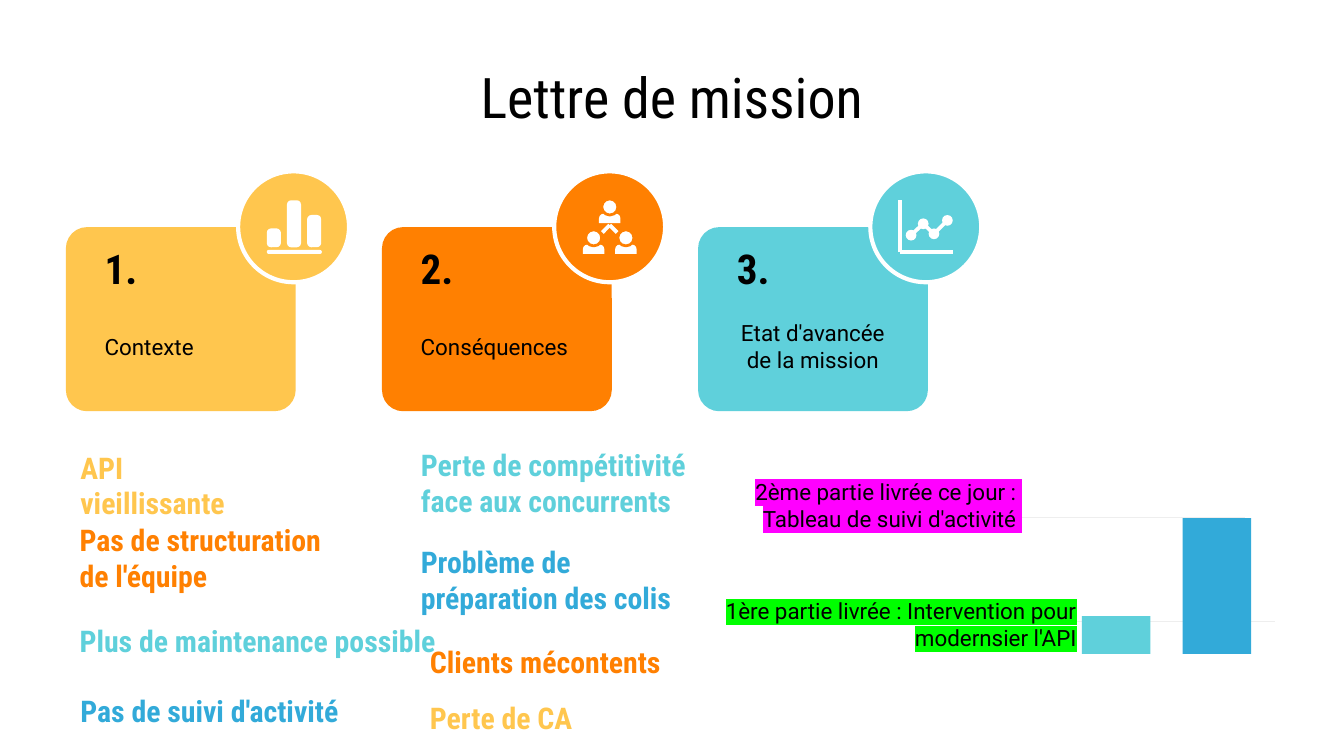
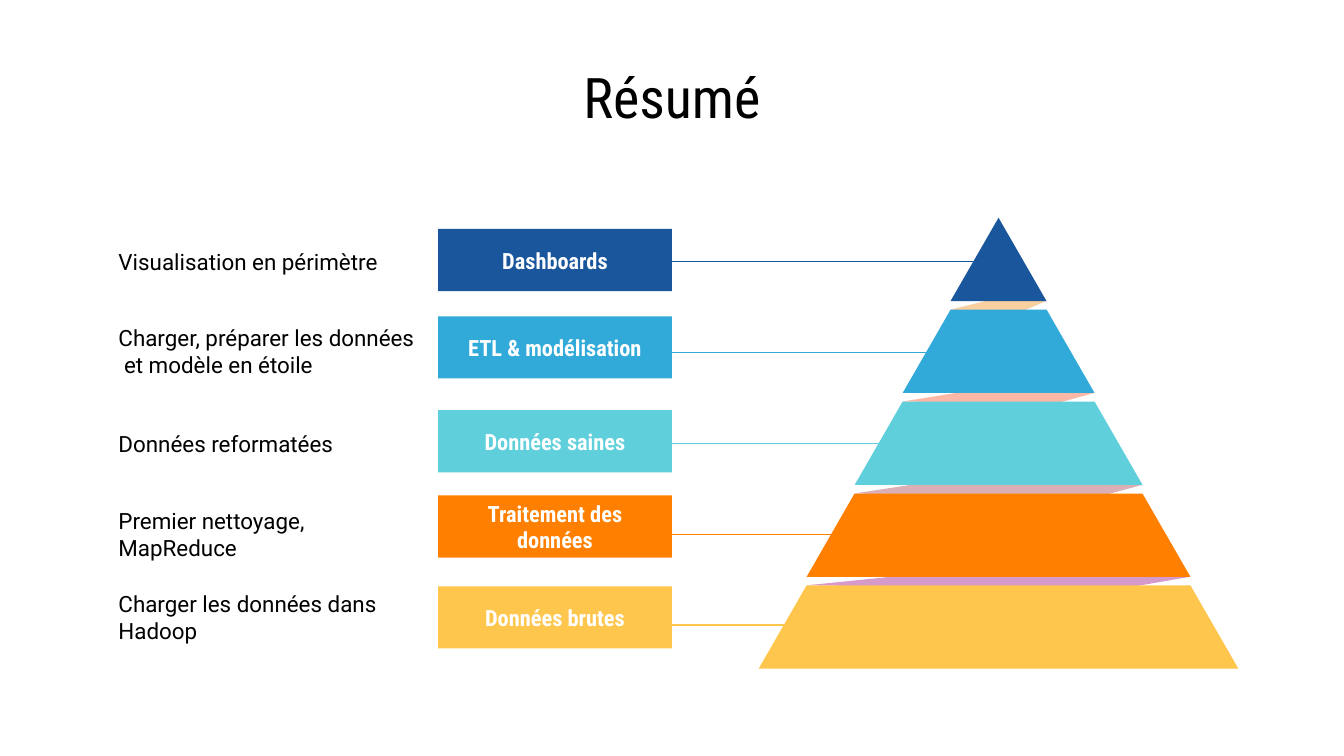
from lxml.etree import SubElement
from pptx import Presentation
from pptx.dml.color import RGBColor
from pptx.enum.shapes import MSO_CONNECTOR, MSO_SHAPE as Shape
from pptx.enum.text import MSO_ANCHOR, PP_ALIGN as Align
from pptx.oxml import parse_xml
from pptx.oxml.ns import nsdecls, qn
from pptx.util import Inches, Pt

SLIDE_WIDTH = Inches(10)
SLIDE_HEIGHT = SLIDE_WIDTH * 9 // 16
CELL = SLIDE_WIDTH / 100  # the grid has 100 columns, with square cells

BLACK = RGBColor(0x00, 0x00, 0x00)
WHITE = RGBColor(0xFF, 0xFF, 0xFF)
NAVY = RGBColor(0x1A, 0x56, 0x9C)
BLUE = RGBColor(0x32, 0xAA, 0xD9)
TURQUOISE = RGBColor(0x5F, 0xD0, 0xDB)
ORANGE = RGBColor(0xFF, 0x80, 0x01)
YELLOW = RGBColor(0xFF, 0xC6, 0x4E)
GRID_GREY = RGBColor(0xEE, 0xEE, 0xEE)
GREEN = RGBColor(0x00, 0xFF, 0x00)
MAGENTA = RGBColor(0xFF, 0x00, 0xFF)
FOLD_COLORS = [RGBColor(0xEF, 0x91, 0x21), RGBColor(0xFB, 0x85, 0x69),
               RGBColor(0xAC, 0x4D, 0x5B), RGBColor(0xA1, 0x16, 0x86)]

BODY_FONT, HEAD_FONT = "Roboto", "Roboto Condensed"

CARD_TOP, CARD_STEP = 16.9, 23.52
APEX_X, APEX_Y = 74.3, 16.2
LEVEL_STEP, LEVEL_HEIGHT, HALF_STEP = 6.84, 6.2, 3.57


def cells(*values):
    return [round(value * CELL) for value in values]


def paint(shape, fill, line=None, line_width=2.25):
    shape.shadow.inherit = False
    shape.fill.solid()
    shape.fill.fore_color.rgb = fill
    if line is None:
        shape.line.fill.background()
    else:
        shape.line.color.rgb = line
        shape.line.width = Pt(line_width)


def add_block(page, kind, area, fill, line=None, line_width=2.25, adjust=None):
    block = page.shapes.add_shape(kind, *cells(*area))
    paint(block, fill, line, line_width)
    if adjust is not None:
        block.adjustments[0] = adjust
    return block


def add_outline(page, points, fill, opacity=None):
    corners = [cells(*point) for point in points]
    builder = page.shapes.build_freeform(*corners[0])
    builder.add_line_segments(corners[1:], close=True)
    outline = builder.convert_to_shape()
    paint(outline, fill)
    if opacity is not None:
        color = outline.fill._xPr.find(qn("a:solidFill"))[0]
        SubElement(color, qn("a:alpha")).set("val", str(opacity * 1000))


def add_line(page, start, end, color, width=0.75):
    line = page.shapes.add_connector(MSO_CONNECTOR.STRAIGHT, *cells(*start, *end))
    line.line.color.rgb = color
    line.line.width = Pt(width)
    SubElement(line._element.spPr, qn("a:effectLst"))


def highlight(span, color):
    mark = parse_xml(f'<a:highlight {nsdecls("a")}><a:srgbClr val="{color}"/></a:highlight>')
    span._r.rPr.find(qn("a:solidFill")).addnext(mark)


def write(shape, lines, size=12, font=BODY_FONT, color=BLACK, bold=False,
          align=Align.LEFT, marker=None, inset=0.1):
    frame = shape.text_frame
    frame.word_wrap = True
    frame.vertical_anchor = MSO_ANCHOR.MIDDLE
    frame.margin_left = frame.margin_right = Inches(inset)
    for index, line in enumerate(lines):
        para = frame.add_paragraph() if index else frame.paragraphs[0]
        para.alignment = align
        span = para.add_run()
        span.text = line
        span.font.size = Pt(size)
        span.font.name = font
        span.font.bold = bold
        span.font.color.rgb = color
        if marker is not None:
            highlight(span, marker)


def add_text(page, area, *lines, **style):
    write(page.shapes.add_textbox(*cells(*area)), lines, **style)


def add_page(deck, title):
    page = deck.slides.add_slide(deck.slide_layouts[6])
    add_text(page, (5, 4.5, 90, 5.3), title, size=30, font=HEAD_FONT, align=Align.CENTER)
    return page


def draw_bars_icon(page, center, _):
    for column, top in enumerate((17, 14.9, 16)):
        add_block(page, Shape.ROUNDED_RECTANGLE,
                  (center - 2 + 1.5 * column, top, 1.05, 18.4 - top), WHITE, adjust=0.3)
    add_block(page, Shape.ROUNDED_RECTANGLE, (center - 2, 18.6, 4.1, 0.3), WHITE, adjust=0.5)


def draw_team_icon(page, center, back):
    for offset, middle in ((0, 15.4), (1.2, 17.7), (-1.2, 17.7)):
        x = center + offset
        add_block(page, Shape.ROUND_2_SAME_RECTANGLE,
                  (x - 0.8, middle + 0.5, 1.6, 0.7), WHITE, adjust=0.5)
        add_block(page, Shape.OVAL, (x - 0.6, middle - 0.6, 1.2, 1.2), WHITE, back, 1.5)
    for side in (-0.55, 0.55):
        add_line(page, (center, 16.75), (center + side, 17.3), WHITE, 2)


def draw_curve_icon(page, center, _):
    left, bottom = center - 1.9, 18.75
    add_line(page, (left, 14.9), (left, bottom), WHITE, 2)
    add_line(page, (left, bottom), (center + 2, bottom), WHITE, 2)
    points = [(center + dx, y) for dx, y in ((-1.1, 17.5), (-0.2, 16.65), (0.6, 17.4), (1.6, 16.4))]
    for start, end in zip(points, points[1:]):
        add_line(page, start, end, WHITE, 2)
    for x, y in points:
        add_block(page, Shape.OVAL, (x - 0.4, y - 0.4, 0.8, 0.8), WHITE)


def add_card(page, index, label, color, draw_icon, align):
    left = 4.9 + CARD_STEP * index
    add_block(page, Shape.ROUNDED_RECTANGLE, (left, CARD_TOP, 17.1, 13.7), color, adjust=0.115)
    add_block(page, Shape.OVAL, (left + 12.82, 12.75, 8.25, 8.25), color, WHITE)
    draw_icon(page, left + 16.95, color)
    add_text(page, (left + 1.9, 18.4, 8.2, 3.1), f"{index + 1}.", size=22, font=HEAD_FONT, bold=True)
    add_text(page, (left + 1.9, 21.65, 13.3, 8.2), label, align=align)


def add_progress_chart(page):
    """Two delivery steps, each a bar with its highlighted caption."""
    add_line(page, (63.4, 46.24), (94.9, 46.24), GRID_GREY)
    add_line(page, (61.1, 38.5), (92.6, 38.5), GRID_GREY)
    for left, top, color in ((80.5, 45.85, TURQUOISE), (88, 38.55, BLUE)):
        add_block(page, Shape.RECTANGLE, (left, top, 5.1, 48.65 - top), color)
    add_text(page, (52.7, 43.25, 28.4, 6.4),
             "1ère partie livrée : Intervention pour modernsier l'API",
             align=Align.RIGHT, marker=GREEN)
    add_text(page, (54.53, 34.3, 22.5, 6.5),
             "2ème partie livrée ce jour : ", "Tableau de suivi d'activité ",
             align=Align.RIGHT, marker=MAGENTA)


def build_mission(deck):
    page = add_page(deck, "Lettre de mission")
    cards = [
        ("Contexte", YELLOW, draw_bars_icon, Align.LEFT),
        ("Conséquences", ORANGE, draw_team_icon, Align.LEFT),
        ("Etat d'avancée de la mission", TURQUOISE, draw_curve_icon, Align.CENTER),
    ]
    for index, card in enumerate(cards):
        add_card(page, index, *card)
    add_progress_chart(page)

    findings = [
        ((4.94, 40, 22, 3), "Pas de structuration de l'équipe", ORANGE),
        ((5, 34.4, 16.2, 3.4), "API vieillissante", YELLOW),
        ((30.33, 41.6, 23.3, 3.1), "Problème de préparation des colis", BLUE),
        ((30.33, 34.4, 23.3, 3), "Perte de\u00a0compétitivité face aux concurrents", TURQUOISE),
        ((4.94, 45.85, 30, 3.7), "Plus de maintenance possible", TURQUOISE),
        ((5, 51, 30, 3.7), "Pas de suivi d'activité", BLUE),
        ((31, 47.75, 22, 3), "Clients mécontents", ORANGE),
        ((31, 51.7, 16.2, 3.4), "Perte de CA", YELLOW),
    ]
    for area, text, color in findings:
        add_text(page, area, text, size=16, font=HEAD_FONT, color=color, bold=True)


def level_top(index):
    return APEX_Y + LEVEL_STEP * index


def add_fold(page, index, back, front, color, opacity):
    """Shaded strip that joins a pyramid level to the one below."""
    half = HALF_STEP * (index + 1)
    left = (APEX_X - half, level_top(index + 1))
    right = (APEX_X + half, level_top(index) + LEVEL_HEIGHT)
    add_outline(page, [back, left, front, right], color, opacity)


def add_level(page, index, color):
    top, half = level_top(index), HALF_STEP * index
    bottom, wide = top + LEVEL_HEIGHT, half + HALF_STEP
    corners = [(APEX_X - half, top), (APEX_X - wide, bottom), (APEX_X + wide, bottom)]
    if index:
        corners.append((APEX_X + half, top))
    add_outline(page, corners, color)


def build_summary(deck):
    page = add_page(deck, "Résumé")
    steps = [
        ("Dashboards", NAVY, 17.04, 73.3, 16.55, ["Visualisation en périmètre"]),
        ("ETL & modélisation", BLUE, 23.54, 69.9, 23.2,
         ["Charger, préparer les données", " et modèle en étoile"]),
        ("Données saines", TURQUOISE, 30.52, 67.8, 30.1, ["Données reformatées"]),
        ("Traitement des données", ORANGE, 36.87, 64.5, 36.85, ["Premier nettoyage, MapReduce"]),
        ("Données brutes", YELLOW, 43.63, 60.2, 43, ["Charger les données dans Hadoop"]),
    ]
    folds = [((74.6, 22.1), (75.5, 23.4), 43), ((73.9, 28.8), (78.3, 30.1), 58),
             ((72.9, 35.3), (80.5, 37.3), 44), ((69.5, 42.6), (82.9, 43.9), 43)]

    for index, (name, color, top, line_end, text_top, details) in enumerate(steps):
        line_y = 19.47 + 6.76 * index
        add_line(page, (49.9, line_y), (line_end, line_y), color)
        plate = add_block(page, Shape.RECTANGLE, (32.6, top, 17.4, 4.63), color)
        write(plate, [name], font=HEAD_FONT, color=WHITE, bold=True,
              align=Align.CENTER, inset=0.16)
        add_text(page, (7.83, text_top, 24.8, 5.8), *details)
    for index, (back, front, opacity) in enumerate(folds):
        add_fold(page, index, back, front, FOLD_COLORS[index], opacity)
    for index, step in enumerate(steps):
        add_level(page, index, step[1])


def main():
    deck = Presentation()
    deck.slide_width, deck.slide_height = SLIDE_WIDTH, SLIDE_HEIGHT
    build_mission(deck)
    build_summary(deck)
    deck.save("out.pptx")


if __name__ == "__main__":
    main()
